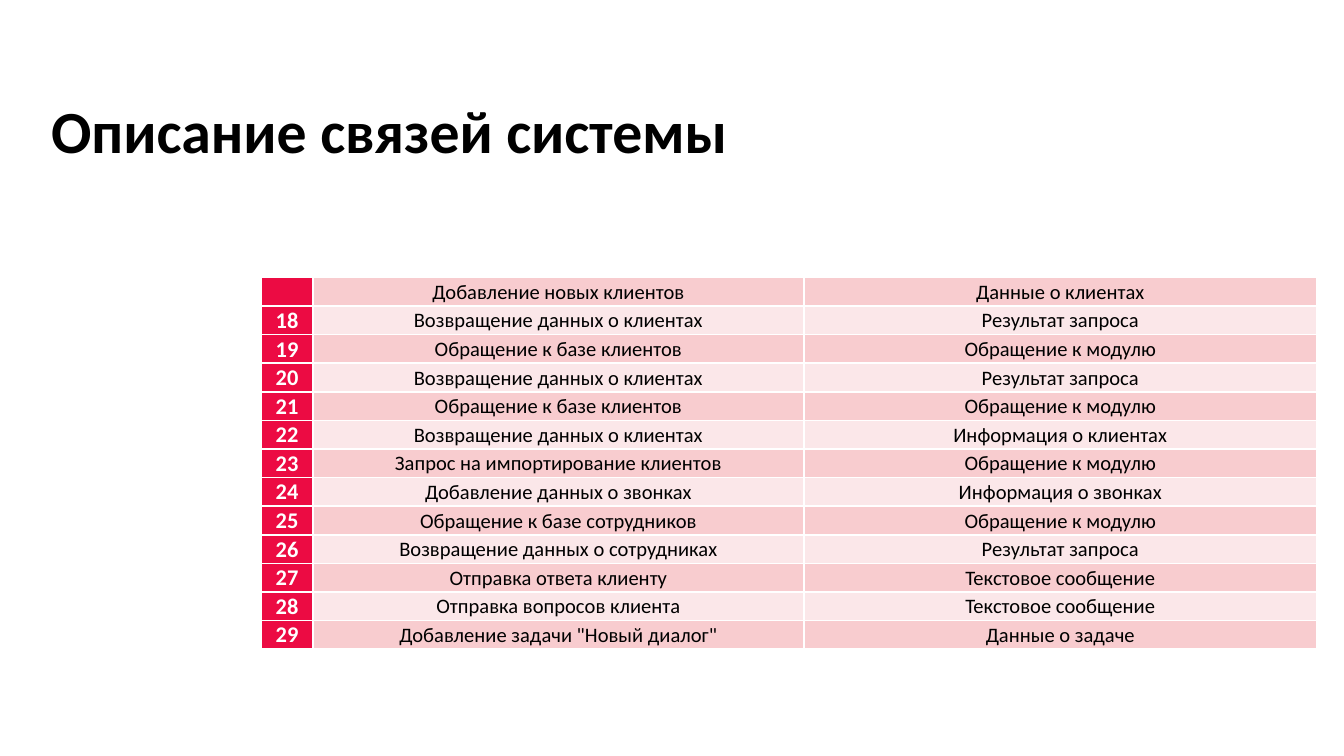
from lxml.etree import SubElement as Sub
from pptx import Presentation
from pptx.dml.color import RGBColor as RGB
from pptx.enum.text import MSO_ANCHOR as ANC, PP_ALIGN as AL
from pptx.oxml.ns import qn
from pptx.util import Cm, Pt

BLACK = RGB(0x00, 0x00, 0x00)
WHITE = RGB(0xFF, 0xFF, 0xFF)
RED = RGB(0xEC, 0x0B, 0x43)
PINK = RGB(0xF8, 0xCC, 0xCF)
PALE = RGB(0xFB, 0xE7, 0xE9)

TITLE_FONT = {"name": "Calibri", "size": Pt(32), "bold": True}
NUMBER_FONT = {"name": "Calibri", "size": Pt(12), "bold": True}
TEXT_FONT = {"name": "Calibri", "size": Pt(11), "bold": False}
CELL = {"margin_left": Cm(0.02), "margin_right": Cm(0.02), "margin_top": Cm(0.02),
        "margin_bottom": 0, "vertical_anchor": ANC.MIDDLE}
COLS = [Cm(0.99), Cm(9.27), Cm(9.7)]
ROW_H = Cm(0.54)
FIRST = 17
LINKS = [
    ("Добавление новых клиентов", "Данные о клиентах"),
    ("Возвращение данных о клиентах", "Результат запроса"),
    ("Обращение к базе клиентов", "Обращение к модулю"),
    ("Возвращение данных о клиентах", "Результат запроса"),
    ("Обращение к базе клиентов", "Обращение к модулю"),
    ("Возвращение данных о клиентах", "Информация о клиентах"),
    ("Запрос на импортирование клиентов", "Обращение к модулю"),
    ("Добавление данных о звонках", "Информация о звонках"),
    ("Обращение к базе сотрудников", "Обращение к модулю"),
    ("Возвращение данных о сотрудниках", "Результат запроса"),
    ("Отправка ответа клиенту", "Текстовое сообщение"),
    ("Отправка вопросов клиента", "Текстовое сообщение"),
    ("Добавление задачи \"Новый диалог\"", "Данные о задаче"),
]


def apply(obj, values):
    for name, value in values.items():
        setattr(obj, name, value)


def add_text(p, text, font, color):
    r = p.add_run()
    r.text = text
    apply(r.font, font)
    r.font.color.rgb = color


prs = Presentation()
apply(prs, {"slide_width": Cm(25.4), "slide_height": Cm(14.28)})
s = prs.slides.add_slide(prs.slide_layouts[5])

title = s.shapes.title
apply(title, {"left": Cm(0.71), "top": Cm(1.52), "width": Cm(14.78), "height": Cm(1.85)})
title.text_frame.vertical_anchor = ANC.MIDDLE
p = title.text_frame.paragraphs[0]
p.alignment = AL.LEFT
add_text(p, "Описание связей системы", TITLE_FONT, BLACK)

table = s.shapes.add_table(len(LINKS), len(COLS), Cm(4.93), Cm(5.24),
                           sum(COLS), ROW_H * len(LINKS)).table
apply(table, {"first_row": False, "horz_banding": False})
for col, width in zip(table.columns, COLS):
    col.width = width

for i, link in enumerate(LINKS):
    table.rows[i].height = ROW_H
    number = str(FIRST + i) if i else ""
    for j, text in enumerate((number, *link)):
        cell = table.cell(i, j)
        apply(cell, CELL)
        tc_pr = cell._tc.get_or_add_tcPr()
        for side in ("a:lnL", "a:lnR", "a:lnT", "a:lnB"):
            ln = Sub(tc_pr, qn(side), w=str(Pt(1)))
            Sub(Sub(ln, qn("a:solidFill")), qn("a:srgbClr"), val=str(WHITE))
        cell.fill.solid()
        cell.fill.fore_color.rgb = RED if j == 0 else (PINK, PALE)[i % 2]
        p = cell.text_frame.paragraphs[0]
        p.alignment = AL.CENTER
        if text:
            add_text(p, text, TEXT_FONT if j else NUMBER_FONT, BLACK if j else WHITE)
        else:
            p._p.get_or_add_endParaRPr().set("sz", "1200")

prs.save("out.pptx")
